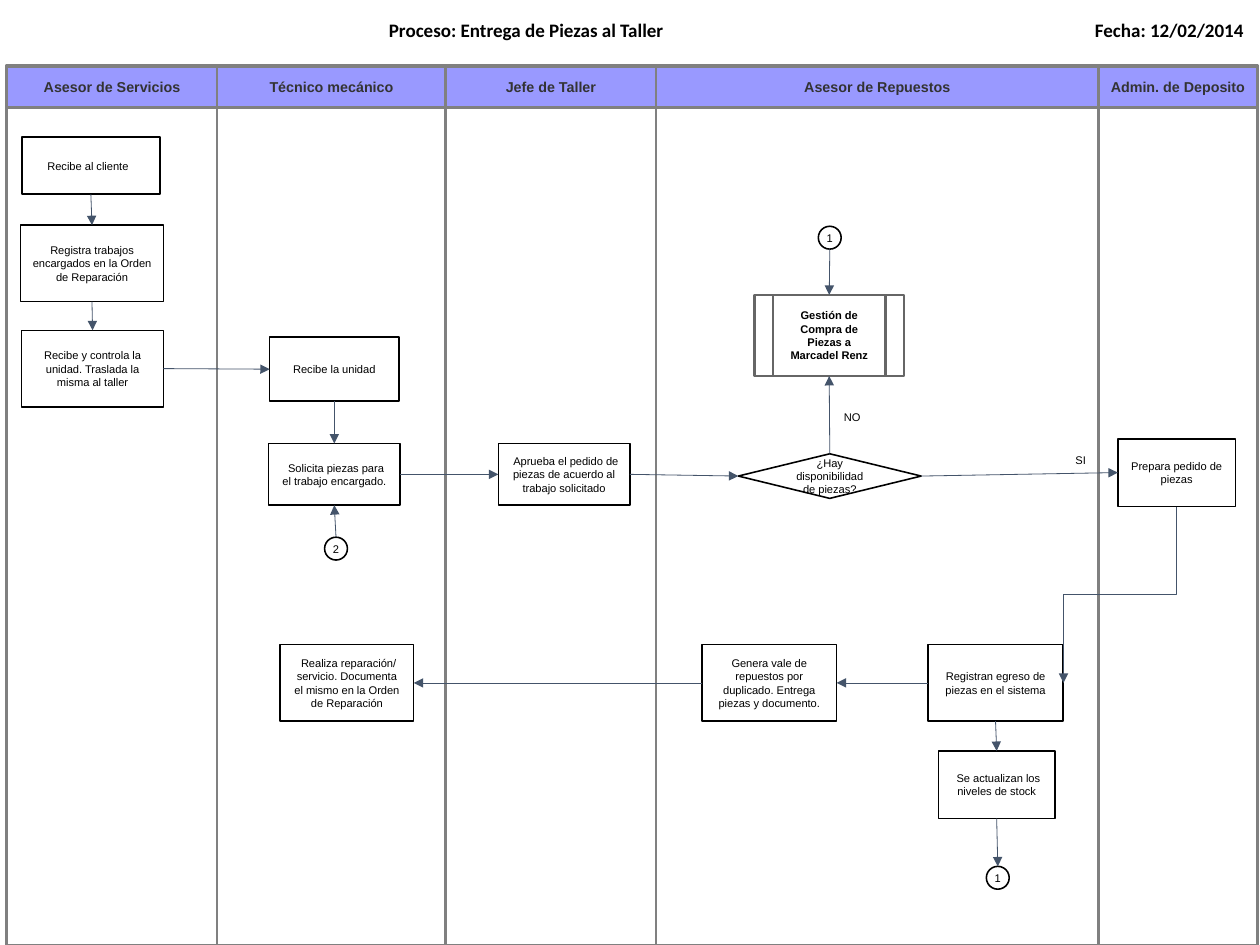
from lxml import etree
from pptx import Presentation
from pptx.dml.color import RGBColor
from pptx.enum.shapes import MSO_CONNECTOR, MSO_SHAPE
from pptx.enum.text import MSO_ANCHOR, PP_ALIGN
from pptx.oxml.ns import qn
from pptx.util import Cm, Inches, Pt

RECTANGLE = MSO_SHAPE.RECTANGLE
OVAL = MSO_SHAPE.OVAL
DECISION = MSO_SHAPE.FLOWCHART_DECISION
SUBPROCESS = MSO_SHAPE.FLOWCHART_PREDEFINED_PROCESS
STRAIGHT = MSO_CONNECTOR.STRAIGHT
ELBOW = MSO_CONNECTOR.ELBOW
TOP_ANCHOR = MSO_ANCHOR.TOP
MIDDLE = MSO_ANCHOR.MIDDLE
CENTER = PP_ALIGN.CENTER
RIGHT_ALIGN = PP_ALIGN.RIGHT
TOP, LEFT, BOTTOM, RIGHT = range(4)

HEADING = {"name": "Calibri", "size": Pt(12), "bold": True}
LANE_NAME = {"name": "Arial", "size": Pt(9), "bold": True}
STEP = {"name": "Arial", "size": Pt(7), "bold": False}
STEP_BOLD = {**STEP, "bold": True}


def color(hex_value):
    return RGBColor.from_string(hex_value)


def write(box, text, font, ink="000000", align=CENTER, anchor=MIDDLE, side=0.1):
    frame = box.text_frame
    layout = {
        "word_wrap": True,
        "vertical_anchor": anchor,
        "margin_left": Inches(side),
        "margin_right": Inches(side),
        "margin_top": Inches(0.05),
        "margin_bottom": Inches(0.05),
    }
    for name, value in layout.items():
        setattr(frame, name, value)
    para = frame.paragraphs[0]
    para.alignment = align
    span = para.add_run()
    span.text = text
    for name, value in font.items():
        setattr(span.font, name, value)
    span.font.color.rgb = color(ink)
    return para


deck = Presentation()
deck.slide_width = Cm(28)
deck.slide_height = Cm(21)
page = deck.slides.add_slide(deck.slide_layouts[5])
shapes = page.shapes

title = shapes.title
place = {"left": 0.18, "top": 0.11, "width": 8.85, "height": 0.31}
for name, value in place.items():
    setattr(title, name, Inches(value))
write(title, "Proceso: Entrega de Piezas al Taller", HEADING, anchor=TOP_ANCHOR)

date = shapes.add_textbox(Inches(8.71), Inches(0.11), Inches(2.27), Inches(0.3))
write(date, "Fecha: 12/02/2014", HEADING, align=RIGHT_ALIGN, anchor=TOP_ANCHOR)

lane_names = [
    "Asesor de Servicios",
    "Técnico mecánico",
    "Jefe de Taller",
    "Asesor de Repuestos",
    "Admin. de Deposito",
]
lane_edges = [0.06, 1.9, 3.9, 5.74, 9.61, 11]
for lane_name, left, right in zip(lane_names, lane_edges, lane_edges[1:]):
    for top, height in ((0.57, 7.7), (0.58, 0.36)):
        box = shapes.add_shape(
            RECTANGLE, Inches(left), Inches(top), Inches(right - left), Inches(height)
        )
        box.shadow.inherit = False
        box.fill.background()
        box.line.color.rgb = color("808080")
        box.line.width = Pt(1.7)
    box.fill.solid()
    box.fill.fore_color.rgb = color("9999FF")
    write(box, lane_name, LANE_NAME, ink="333333")

steps = [
    ("client", RECTANGLE, 0.19, 1.2, 1.21, 0.5, "Recibe al cliente", 0),
    ("order", RECTANGLE, 0.18, 1.97, 1.25, 0.67,
     "Registra trabajos encargados en la Orden de Reparación", 0),
    ("check", RECTANGLE, 0.19, 2.89, 1.24, 0.67,
     "Recibe y controla la unidad. Traslada la misma al taller", 0),
    ("unit", RECTANGLE, 2.36, 2.95, 1.13, 0.56, "Recibe la unidad", 0),
    ("request", RECTANGLE, 2.35, 3.88, 1.15, 0.54,
     "Solicita piezas para el trabajo encargado.", 0.03),
    ("approval", RECTANGLE, 4.36, 3.88, 1.15, 0.54,
     "Aprueba el pedido de piezas de acuerdo al trabajo solicitado", 0.03),
    ("decision", DECISION, 6.46, 3.97, 1.6, 0.39, "¿Hay disponibilidad de piezas?", 0),
    ("purchase", SUBPROCESS, 6.6, 2.58, 1.31, 0.71,
     "Gestión de Compra de Piezas a Marcadel Renz", 0),
    ("prepare", RECTANGLE, 9.78, 3.84, 1.03, 0.59, "Prepara pedido de piezas", 0),
    ("exit", RECTANGLE, 8.12, 5.64, 1.18, 0.67,
     "Registran egreso de piezas en el sistema", 0),
    ("voucher", RECTANGLE, 6.14, 5.64, 1.18, 0.67,
     "Genera vale de repuestos por duplicado. Entrega piezas y documento.", 0),
    ("repair", RECTANGLE, 2.45, 5.64, 1.17, 0.67,
     "Realiza reparación/ servicio. Documenta el mismo en la Orden de Reparación", 0.03),
    ("stock", RECTANGLE, 8.21, 6.57, 1.02, 0.59,
     "Se actualizan los niveles de stock", 0.03),
    ("link_in", OVAL, 7.16, 1.98, 0.2, 0.2, "1", 0),
    ("link_out", OVAL, 8.63, 7.58, 0.2, 0.2, "1", 0),
    ("link_request", OVAL, 2.84, 4.7, 0.2, 0.2, "2", 0),
]
boxes = {}
for key, kind, left, top, width, height, text, indent in steps:
    box = shapes.add_shape(kind, Inches(left), Inches(top), Inches(width), Inches(height))
    box.shadow.inherit = False
    box.fill.solid()
    box.fill.fore_color.rgb = color("FFFFFF")
    special = kind == SUBPROCESS
    box.line.color.rgb = color("666666" if special else "000000")
    box.line.width = Pt(1.7 if special else 1)
    para = write(box, text, STEP_BOLD if special else STEP, side=0 if kind == OVAL else 0.1)
    if indent:
        para._p.get_or_add_pPr().set("indent", str(Inches(indent)))
    boxes[key] = box
boxes["client"].text_frame.margin_right = Inches(0.15)

for text, left, top in (("NO", 7.28, 3.54), ("SI", 9.28, 3.92)):
    label = shapes.add_textbox(Inches(left), Inches(top), Inches(0.35), Inches(0.31))
    write(label, text, STEP, anchor=TOP_ANCHOR, side=0)

flows = [
    ("client", BOTTOM, "order", TOP),
    ("order", BOTTOM, "check", TOP),
    ("check", RIGHT, "unit", LEFT),
    ("unit", BOTTOM, "request", TOP),
    ("link_request", TOP, "request", BOTTOM),
    ("request", RIGHT, "approval", LEFT),
    ("approval", RIGHT, "decision", LEFT),
    ("decision", TOP, "purchase", BOTTOM),
    ("decision", RIGHT, "prepare", LEFT),
    ("link_in", None, "purchase", TOP),
    ("exit", LEFT, "voucher", RIGHT),
    ("voucher", LEFT, "repair", RIGHT),
    ("exit", BOTTOM, "stock", TOP),
    ("stock", BOTTOM, "link_out", TOP),
]
arrows = []
for start, start_side, end, end_side in flows:
    source = boxes[start]
    x = source.left + source.width // 2
    y = source.top + source.height
    arrow = shapes.add_connector(STRAIGHT, x, y, x, y)
    if start_side is not None:
        arrow.begin_connect(source, start_side)
    arrow.end_connect(boxes[end], end_side)
    arrows.append(arrow)

delivery = shapes.add_connector(
    ELBOW, Inches(9.03), Inches(4.71), Inches(10.57), Inches(5.7)
)
delivery._element.spPr.find(qn("a:xfrm")).set("rot", "5400000")
arrows.append(delivery)

for arrow in arrows:
    arrow.line.color.rgb = color("44546A")
    arrow.line.width = Pt(0.5)
    etree.SubElement(arrow.line._get_or_add_ln(), qn("a:tailEnd"), type="triangle")
    etree.SubElement(arrow._element.spPr, qn("a:effectLst"))

deck.save("out.pptx")
